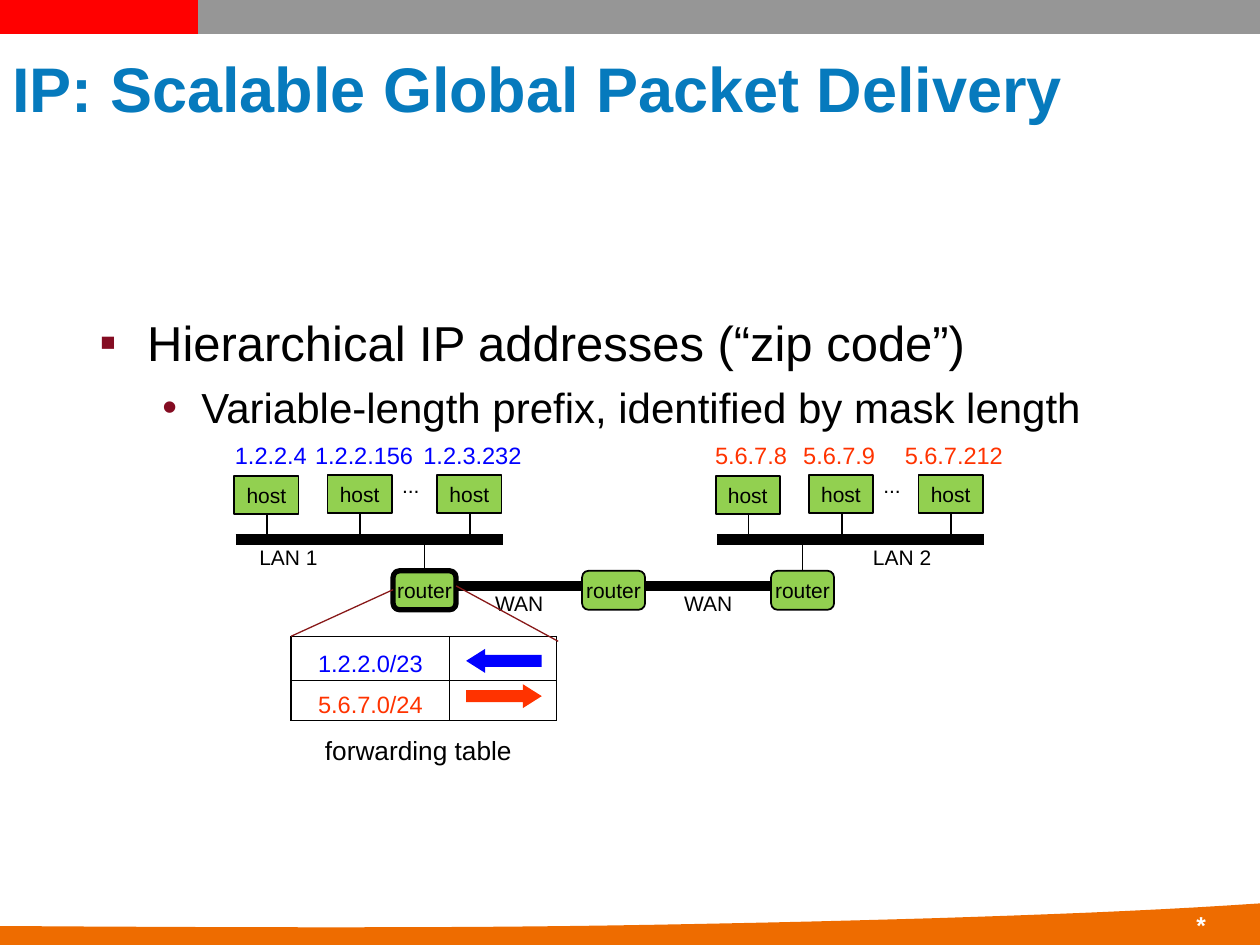
from lxml import etree
from pptx import Presentation
from pptx.dml.color import RGBColor
from pptx.enum.shapes import MSO_CONNECTOR, MSO_SHAPE
from pptx.enum.text import MSO_ANCHOR, PP_ALIGN
from pptx.oxml.ns import qn
from pptx.util import Inches, Pt

STRAIGHT = MSO_CONNECTOR.STRAIGHT
RECT, ROUNDED, ARROW = MSO_SHAPE.RECTANGLE, MSO_SHAPE.ROUNDED_RECTANGLE, MSO_SHAPE.RIGHT_ARROW
LEFT, CENTER, RIGHT = PP_ALIGN.LEFT, PP_ALIGN.CENTER, PP_ALIGN.RIGHT
TOP, MIDDLE, BOTTOM = MSO_ANCHOR.TOP, MSO_ANCHOR.MIDDLE, MSO_ANCHOR.BOTTOM
BLACK, GREEN, BLUE, RED = "000000", "92D050", "0000FF", "FF3300"

TITLE = "IP: Scalable Global Packet Delivery"
BULLETS = [
    ("Hierarchical IP addresses (“zip code”)", 28, "▪", 0.38, 0.38, 4),
    ("Variable-length prefix, identified by mask length", 24, "•", 0.81, 0.31, 6),
]
LANS = [
    {"left": 1.86, "name": "LAN 1", "name_center": 2.29, "color": BLUE,
     "hosts": [("1.2.2.4", 2.15), ("1.2.2.156", 2.89), ("1.2.3.232", 3.75)]},
    {"left": 5.68, "name": "LAN 2", "name_center": 7.16, "color": RED,
     "hosts": [("5.6.7.8", 5.96), ("5.6.7.9", 6.66), ("5.6.7.212", 7.57)]},
]
HOST_OFFSETS = [(0, 3.78), (0.74, 3.77), (1.61, 3.77)]
LAN_Y, ROUTER_Y, WAN_Y = 4.28, 4.53, 4.65
ROUTER_LEFT, ROUTER_STEP, ROUTER_WIDTH = 3.12, 1.5, 0.5
ROUTES = [("1.2.2.0/23", BLUE, 0.35, 5.15, True), ("5.6.7.0/24", RED, 0.32, 5.43, False)]
TABLE_LEFT, TABLE_TOP, COLUMN_WIDTHS = 2.31, 5.05, (1.26, 0.85)
SWOOSH = [
    [(0, 7.35), (1.76, 7.36), (3.52, 7.37), (5.19, 7.34)],
    [(5.19, 7.34), (6.86, 7.31), (8.7, 7.26), (10, 7.17)],
]

deck = Presentation()
deck.slide_width, deck.slide_height = Inches(10), Inches(7.5)
page = deck.slides.add_slide(deck.slide_layouts[6])


def rgb(color):
    return RGBColor.from_string(color)


def add_span(para, text, size, color=BLACK, bold=False, align=CENTER):
    para.alignment = align
    span = para.add_run()
    span.text = text
    span.font.name, span.font.size, span.font.bold = "Arial", Pt(size), bold
    span.font.color.rgb = rgb(color)


def add_text(left, top, width, height, anchor=TOP, wrap=False):
    box = page.shapes.add_textbox(Inches(left), Inches(top), Inches(width), Inches(height))
    box.text_frame.word_wrap = wrap
    box.text_frame.vertical_anchor = anchor
    return box.text_frame


def add_label(text, center, top, width, height=0.3, size=12, color=BLACK, anchor=MIDDLE):
    frame = add_text(center - width / 2, top, width, height, anchor)
    add_span(frame.paragraphs[0], text, size, color)


def add_line(x1, y1, x2, y2, width=1, color=BLACK):
    line = page.shapes.add_connector(STRAIGHT, Inches(x1), Inches(y1), Inches(x2), Inches(y2))
    line.line.width = Pt(width)
    line.line.color.rgb = rgb(color)
    etree.SubElement(line._element.spPr, qn("a:effectLst"))


def paint(shape, fill, border=0):
    shape.shadow.inherit = False
    shape.fill.solid()
    shape.fill.fore_color.rgb = rgb(fill)
    if border:
        shape.line.width = Pt(border)
        shape.line.color.rgb = rgb(BLACK)
    else:
        shape.line.fill.background()


def add_node(kind, text, left, top, width, height, border=1):
    node = page.shapes.add_shape(kind, Inches(left), Inches(top), Inches(width), Inches(height))
    paint(node, GREEN, border)
    node.text_frame.word_wrap = False
    node.text_frame.vertical_anchor = MIDDLE
    add_span(node.text_frame.paragraphs[0], text, 12)


def add_bullet(para, mark, margin, hanging):
    props = para._p.get_or_add_pPr()
    props.set("marL", str(Inches(margin)))
    props.set("indent", str(-Inches(hanging)))
    color = etree.SubElement(props, qn("a:buClr"))
    etree.SubElement(color, qn("a:srgbClr"), val="840C22")
    etree.SubElement(props, qn("a:buFont"), typeface="Arial")
    etree.SubElement(props, qn("a:buChar"), char=mark)


def add_borders(cell):
    props = cell._tc.get_or_add_tcPr()
    for index, side in enumerate(("lnL", "lnR", "lnT", "lnB")):
        edge = etree.Element(qn(f"a:{side}"), w=str(Pt(0.75)))
        fill = etree.SubElement(edge, qn("a:solidFill"))
        etree.SubElement(fill, qn("a:srgbClr"), val=BLACK)
        props.insert(index, edge)


def curve_points(controls, steps=16):
    for step in range(1, steps + 1):
        t = step / steps
        weights = ((1 - t) ** 3, 3 * t * (1 - t) ** 2, 3 * t * t * (1 - t), t ** 3)
        yield tuple(Inches(sum(w * point[axis] for w, point in zip(weights, controls)))
                    for axis in (0, 1))


def draw_frame():
    add_line(0, 0.13, 10, 0.13, 20, "969696")
    add_line(0, 0.13, 1.57, 0.13, 20, "FF0000")
    builder = page.shapes.build_freeform(Inches(0), Inches(7.35))
    for controls in SWOOSH:
        builder.add_line_segments(list(curve_points(controls)), close=False)
    builder.add_line_segments([(Inches(10), Inches(7.5)), (Inches(0), Inches(7.5))], close=True)
    paint(builder.convert_to_shape(), "EE6C00")
    star = add_text(9, 7.17, 0.67, 0.33, wrap=True).paragraphs[0]
    star.space_before = Pt(4)
    add_span(star, "*", 14, "FFFFFF", True, RIGHT)


def draw_text():
    title = add_text(0, 0.32, 9.75, 0.74, MIDDLE, True)
    add_span(title.paragraphs[0], TITLE, 36, "067ABD", True, LEFT)
    body = add_text(0.69, 2.43, 8.62, 1.01, wrap=True)
    for index, (text, size, mark, margin, hanging, gap) in enumerate(BULLETS):
        para = body.add_paragraph() if index else body.paragraphs[0]
        para.level = index
        para.space_before = Pt(gap)
        add_bullet(para, mark, margin, hanging)
        add_span(para, text, size, align=LEFT)


def draw_lan(lan):
    left = lan["left"]
    add_line(left + 0.01, LAN_Y, left + 2.13, LAN_Y, 6)
    for (address, center), (offset, top) in zip(lan["hosts"], HOST_OFFSETS):
        stem = left + offset + 0.26
        add_line(stem, 4.03, stem, LAN_Y)
        add_node(RECT, "host", left + offset, top, 0.51, 0.3)
        add_label(address, center, 3.45, 0.98, 0.33, 13.5, lan["color"], TOP)
    add_label(lan["name"], lan["name_center"], 4.27, 0.66)
    add_label("...", left + 1.4, 3.7, 0.34)


def draw_routers():
    for index in range(3):
        left = ROUTER_LEFT + index * ROUTER_STEP
        right = left + ROUTER_WIDTH
        add_node(ROUNDED, "router", left, ROUTER_Y, ROUTER_WIDTH, 0.31, 1 if index else 3)
        if index != 1:
            add_line(left + 0.25, LAN_Y, left + 0.25, ROUTER_Y)
        if index < 2:
            add_line(right, WAN_Y, left + ROUTER_STEP, WAN_Y, 6)
            add_label("WAN", right + 0.5, 4.64, 0.59)


def draw_forwarding_table():
    table = page.shapes.add_table(2, 2, Inches(TABLE_LEFT), Inches(TABLE_TOP),
                                  Inches(sum(COLUMN_WIDTHS)), Inches(0.67)).table
    table.first_row = table.horz_banding = False
    for column, width in zip(table.columns, COLUMN_WIDTHS):
        column.width = Inches(width)
    for row, (prefix, color, height, top, flipped) in zip(table.rows, ROUTES):
        row.height = Inches(height)
        for cell in row.cells:
            cell.fill.background()
            cell.vertical_anchor = BOTTOM
            cell.margin_top = cell.margin_bottom = Inches(0.02)
            cell.text_frame.paragraphs[0].font.size = Pt(13.5)
            add_borders(cell)
        add_span(row.cells[0].text_frame.paragraphs[0], prefix, 13.5, color)
        arrow = page.shapes.add_shape(ARROW, Inches(3.7), Inches(top), Inches(0.6), Inches(0.19))
        arrow.adjustments[1] = 0.79
        paint(arrow, color)
        if flipped:
            arrow._element.spPr.xfrm.set("flipH", "1")
    add_label("forwarding table", 3.32, 5.78, 1.68, 0.35, 15, anchor=TOP)
    add_line(3.12, 4.68, TABLE_LEFT, TABLE_TOP, 0.75, "881919")
    add_line(3.62, 4.65, 4.43, 5.09, 0.75, "881919")


draw_frame()
draw_text()
for lan in LANS:
    draw_lan(lan)
draw_routers()
draw_forwarding_table()
deck.save("out.pptx")
